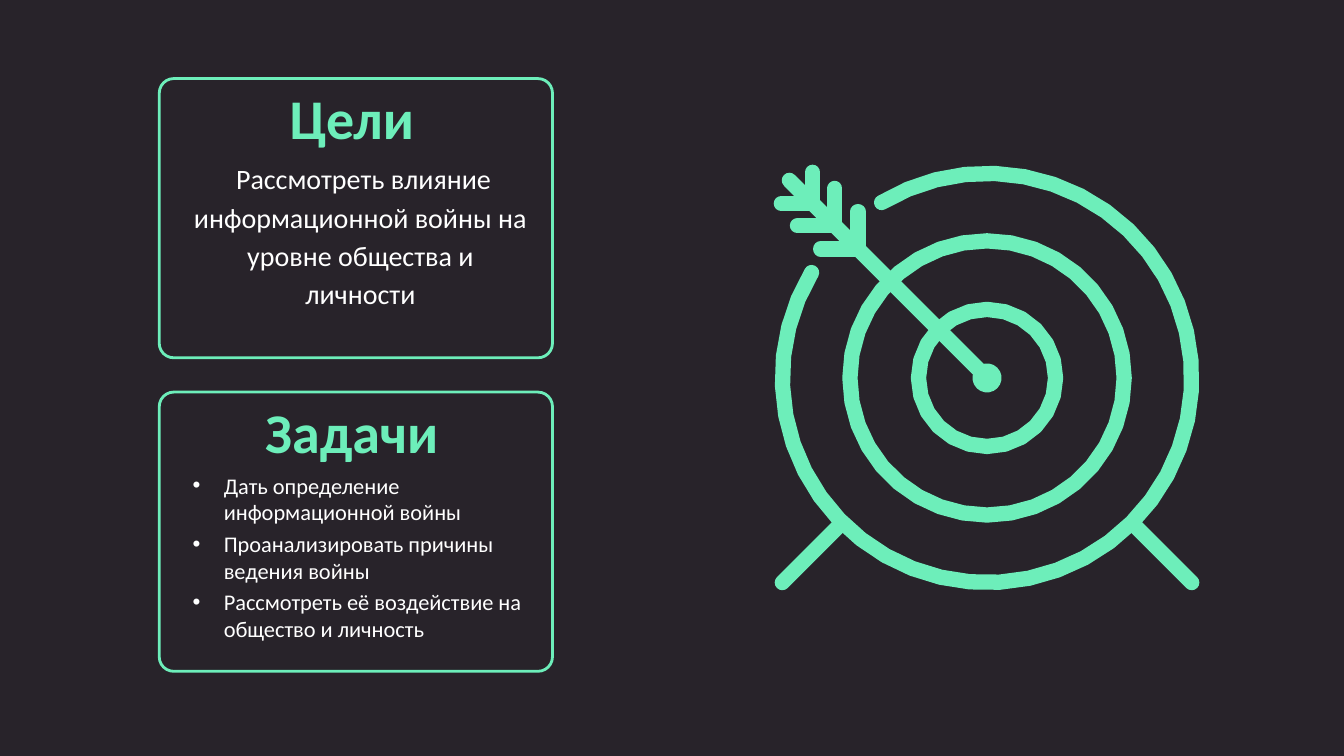
"""Build the goals and tasks slide with a target icon."""
from math import cos, radians, sin

from pptx import Presentation
from pptx.dml.color import RGBColor
from pptx.enum import shapes, text
from pptx.util import Inches, Pt

THEME = {
    "bg": RGBColor.from_string("28232A"),
    "accent": RGBColor.from_string("6DEEBA"),
    "white": RGBColor.from_string("FFFFFF"),
    "font": "Calibri",
    "heading": Pt(40),
    "goal": Pt(20),
    "task": Pt(16),
    "frame": Pt(2),
    "stroke": Pt(10.9),
}

CARDS = [
    {"top": 0.78, "heading": "Цели", "slots": (0, 1), "size": "goal", "body_at": 0.72,
     "lines": [" Рассмотреть влияние информационной войны на уровне общества и личности"],
     "inset": 0.06,
     "para": {"alignment": text.PP_ALIGN.CENTER, "line_spacing": 1.14}},
    {"top": 3.89, "heading": "Задачи", "slots": (3, 4), "size": "task", "body_at": 0.74,
     "lines": ["Дать определение информационной войны",
               "Проанализировать причины ведения войны",
               "Рассмотреть её воздействие на общество и личность"],
     "inset": 0.05, "indent": Inches(0.31),
     "para": {"alignment": text.PP_ALIGN.LEFT, "line_spacing": 1.0, "space_after": Pt(3.2)}},
]

TARGET = {
    "center": (9.79, 3.75),
    "rings": [(0.07, 0, 360, 10), (0.68, 0, 360, 24), (1.36, 0, 360, 36), (2.03, -121, 211, 40)],
    "shaft": 1.96,
    "feathers": [(1.28, 0.37), (1.51, 0.37), (1.73, 0.31)],
    "legs": (1.46, 2.03),
}


def assign(obj, values):
    for name, value in values.items():
        setattr(obj, name, value)


def fill_text(sp, box, lines, size, color, bold, inset, para, indent=0):
    assign(sp, dict(zip(("left", "top", "width", "height"), map(Inches, box))))
    tf = sp.text_frame
    assign(tf, {"word_wrap": True, "auto_size": text.MSO_AUTO_SIZE.NONE,
                "vertical_anchor": text.MSO_ANCHOR.TOP,
                "margin_left": Inches(0.1), "margin_right": Inches(0.1),
                "margin_top": Inches(inset), "margin_bottom": Inches(0.05)})
    for i, line in enumerate(lines):
        p = tf.add_paragraph() if i else tf.paragraphs[0]
        assign(p, {"space_before": Pt(0), "space_after": Pt(0), **para})
        pPr = p._p.get_or_add_pPr()
        pPr.set("marL", str(indent))
        pPr.set("indent", str(-indent))
        r = p.add_run()
        r.text = line
        assign(r.font, {"name": THEME["font"], "size": THEME[size], "bold": bold})
        r.font.color.rgb = THEME[color]


def add_card(slide, card):
    top = card["top"]
    sp = slide.shapes.add_shape(shapes.MSO_SHAPE.ROUNDED_RECTANGLE,
                                *map(Inches, (1.58, top, 3.9, 2.77)))
    sp.adjustments[0] = 0.052
    outline(sp, THEME["frame"])
    slots = {ph.placeholder_format.idx: ph for ph in slide.placeholders}
    heading, body = (slots[idx] for idx in card["slots"])
    fill_text(heading, (1.36, top, 4.26, 0.61), [card["heading"]], "heading", "accent",
              True, 0.05, {"alignment": text.PP_ALIGN.CENTER, "line_spacing": 1.0})
    fill_text(body, (1.81, top + card["body_at"], 3.53, 1.95), card["lines"], card["size"],
              "white", False, card["inset"], card["para"], card.get("indent", 0))


def outline(sp, width):
    sp.shadow.inherit = False
    sp.fill.background()
    sp.line.color.rgb = THEME["accent"]
    sp.line.width = width


def target_strokes():
    for radius, start, end, steps in TARGET["rings"]:
        angles = [radians(start + (end - start) * i / steps) for i in range(steps + 1)]
        yield [(radius * cos(a), radius * sin(a)) for a in angles]
    yield [(0, 0), (-TARGET["shaft"], -TARGET["shaft"])]
    for corner, arm in TARGET["feathers"]:
        yield [(-corner, -corner - arm), (-corner, -corner), (-corner - arm, -corner)]
    inner, outer = TARGET["legs"]
    for side in (-1, 1):
        yield [(side * inner, inner), (side * outer, outer)]


def add_target(slide):
    cx, cy = TARGET["center"]
    builder = None
    for stroke in target_strokes():
        start, *rest = [(Inches(cx + x), Inches(cy + y)) for x, y in stroke]
        if builder is None:
            builder = slide.shapes.build_freeform(*start)
        else:
            builder.move_to(*start)
        builder.add_line_segments(rest, close=False)
    sp = builder.convert_to_shape()
    outline(sp, THEME["stroke"])
    ln = sp.line._get_or_add_ln()
    ln.set("cap", "rnd")
    ln.append(ln.makeelement(ln.tag.replace("}ln", "}round"), {}))


def main():
    prs = Presentation()
    assign(prs, {"slide_width": Inches(13.33), "slide_height": Inches(7.5)})
    slide = prs.slides.add_slide(prs.slide_layouts.get_by_name("Comparison"))
    slide.background.fill.solid()
    slide.background.fill.fore_color.rgb = THEME["bg"]
    for card in CARDS:
        add_card(slide, card)
    add_target(slide)
    for ph in list(slide.placeholders):
        if not ph.text_frame.text:
            ph._element.getparent().remove(ph._element)
    prs.save("out.pptx")


if __name__ == "__main__":
    main()
